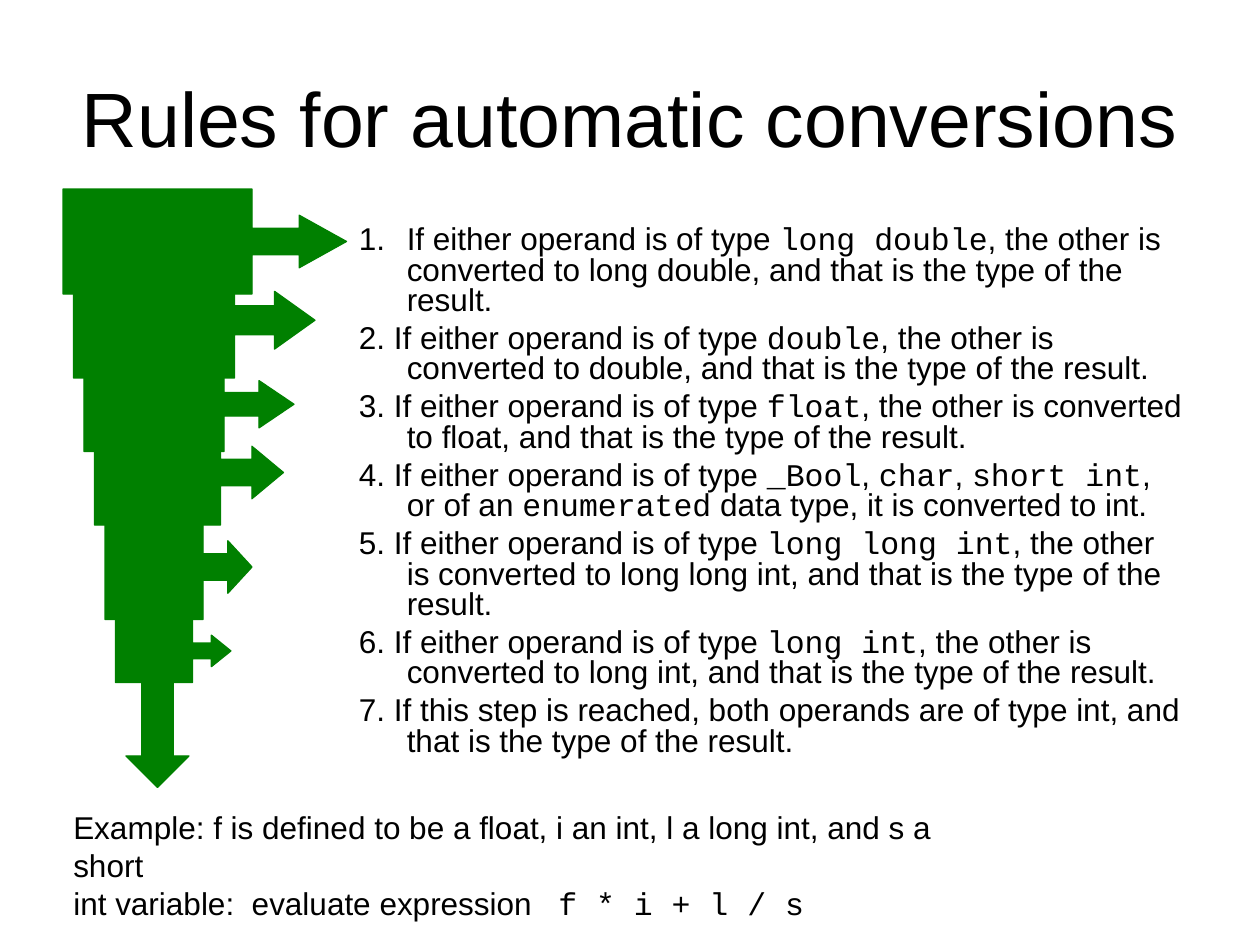
from dataclasses import dataclass

from lxml.etree import SubElement
from pptx import Presentation
from pptx.dml.color import RGBColor
from pptx.enum.shapes import MSO_SHAPE
from pptx.enum.text import MSO_ANCHOR, PP_ALIGN
from pptx.oxml.ns import qn
from pptx.util import Inches, Pt


@dataclass(frozen=True)
class Theme:
    ink: RGBColor = RGBColor(0, 0, 0)
    funnel: RGBColor = RGBColor(0x00, 0x80, 0x00)
    prose: str = "Arial"
    code: str = "Courier New"
    title_size: Pt = Pt(44)
    body_size: Pt = Pt(18)
    outline: Pt = Pt(0.75)


THEME = Theme()
CELL = Inches(1) // 12  # the slide is a grid of 120 columns and 90 rows

# Backquotes enclose code; a leading number is typed except in the first rule.
RULES = [
    "If either operand is of type `long double`, the other is converted to "
    "long double, and that is the type of the result.",
    "2. If either operand is of type `double`, the other is converted to "
    "double, and that is the type of the result.",
    "3. If either operand is of type `float`, the other is converted to "
    "float, and that is the type of the result.",
    "4. If either operand is of type `_Bool`, `char`, `short int`, "
    "or of an `enumerated` data type, it is converted to int.",
    "5. If either operand is of type `long long int`, the other is converted to "
    "long long int, and that is the type of the result.",
    "6. If either operand is of type `long int`, the other is converted to "
    "long int, and that is the type of the result.",
    "7. If this step is reached, both operands are of type int, "
    "and that is the type of the result.",
]
EXAMPLE = [
    "Example: f is defined to be a float, i an int, l a long int, and s a short",
    "int variable:  evaluate expression   `f * i + l / s`",
]

# Row below the funnel's top, columns, rows, head length, share of the box
FUNNEL_STEPS = [
    (0, 27, 10, 0.45, 0.667),
    (7, 23, 11, 0.35, 0.667),
    (16, 20, 9, 0.37, 0.667),
    (22, 18, 10, 0.3, 0.667),
    (31, 14, 10, 0.23, 0.667),
    (41, 11, 6, 0.31, 0.667),
]


def grid(*cells):
    return [round(cell * CELL) for cell in cells]


def apply_format(target, values):
    for attribute, value in values.items():
        setattr(target, attribute, value)


def write_paragraph(paragraph, marked_text, size):
    """Add runs, setting the parts between backquotes in the code font."""
    for index, part in enumerate(marked_text.split("`")):
        if part:
            run = paragraph.add_run()
            run.text = part
            apply_format(run.font, {
                "name": THEME.code if index % 2 else THEME.prose,
                "size": size,
            })
            run.font.color.rgb = THEME.ink


def write_lines(frame, lines, paragraph_format):
    for index, line in enumerate(lines):
        paragraph = frame.add_paragraph() if index else frame.paragraphs[0]
        apply_format(paragraph, paragraph_format)
        write_paragraph(paragraph, line, THEME.body_size)


def number_and_indent(paragraphs, indent):
    for paragraph in paragraphs:
        properties = paragraph._p.get_or_add_pPr()
        properties.set("marL", str(indent))
        properties.set("indent", str(-indent))
    first = paragraphs[0]._p.get_or_add_pPr()
    SubElement(first, qn("a:buFont"), typeface=THEME.prose)
    SubElement(first, qn("a:buAutoNum"), type="arabicPeriod")


def place_title(slide, box):
    title = slide.shapes.title
    apply_format(title, dict(zip(("left", "top", "width", "height"), grid(*box))))
    title.text_frame.vertical_anchor = MSO_ANCHOR.MIDDLE
    heading = title.text_frame.paragraphs[0]
    heading.alignment = PP_ALIGN.CENTER
    write_paragraph(heading, "Rules for automatic conversions", THEME.title_size)


def place_rules(slide, box):
    frame = slide.shapes.add_textbox(*grid(*box)).text_frame
    frame.word_wrap = True
    write_lines(frame, RULES, {"line_spacing": 0.8, "space_before": Pt(4.5)})
    number_and_indent(frame.paragraphs, Inches(0.38))


def place_example(slide, box):
    frame = slide.shapes.add_textbox(*grid(*box)).text_frame
    frame.word_wrap = False
    write_lines(frame, EXAMPLE, {})


def add_funnel_part(slide, preset, box, adjustments):
    part = slide.shapes.add_shape(preset, *grid(*box))
    for index, value in enumerate(adjustments):
        part.adjustments[index] = value
    part.shadow.inherit = False
    part.fill.solid()
    part.fill.fore_color.rgb = THEME.funnel
    part.line.color.rgb = THEME.funnel
    part.line.width = THEME.outline


def place_funnel(slide, box):
    """Stack the narrowing steps, each one column further in, over the exit arrow."""
    left, top, _, height = box
    exit_rows = 12
    add_funnel_part(slide, MSO_SHAPE.DOWN_ARROW,
                    (left + len(FUNNEL_STEPS), top + height - exit_rows, 6, exit_rows),
                    (0.5, 0.5))
    for index, (row, columns, rows, head, body) in enumerate(FUNNEL_STEPS):
        add_funnel_part(slide, MSO_SHAPE.RIGHT_ARROW_CALLOUT,
                        (left + index, top + row, columns, rows),
                        (0.25, 0.25, head, body))


def main():
    presentation = Presentation()
    apply_format(presentation, {"slide_width": 120 * CELL, "slide_height": 90 * CELL})
    slide = presentation.slides.add_slide(presentation.slide_layouts[5])
    place_title(slide, (6, 3.6, 108, 15))
    place_rules(slide, (33, 21, 81, 53))
    place_funnel(slide, (6, 18, 27, 57))
    place_example(slide, (5.8, 76.4, 91.5, 8.4))
    presentation.save("out.pptx")


if __name__ == "__main__":
    main()
